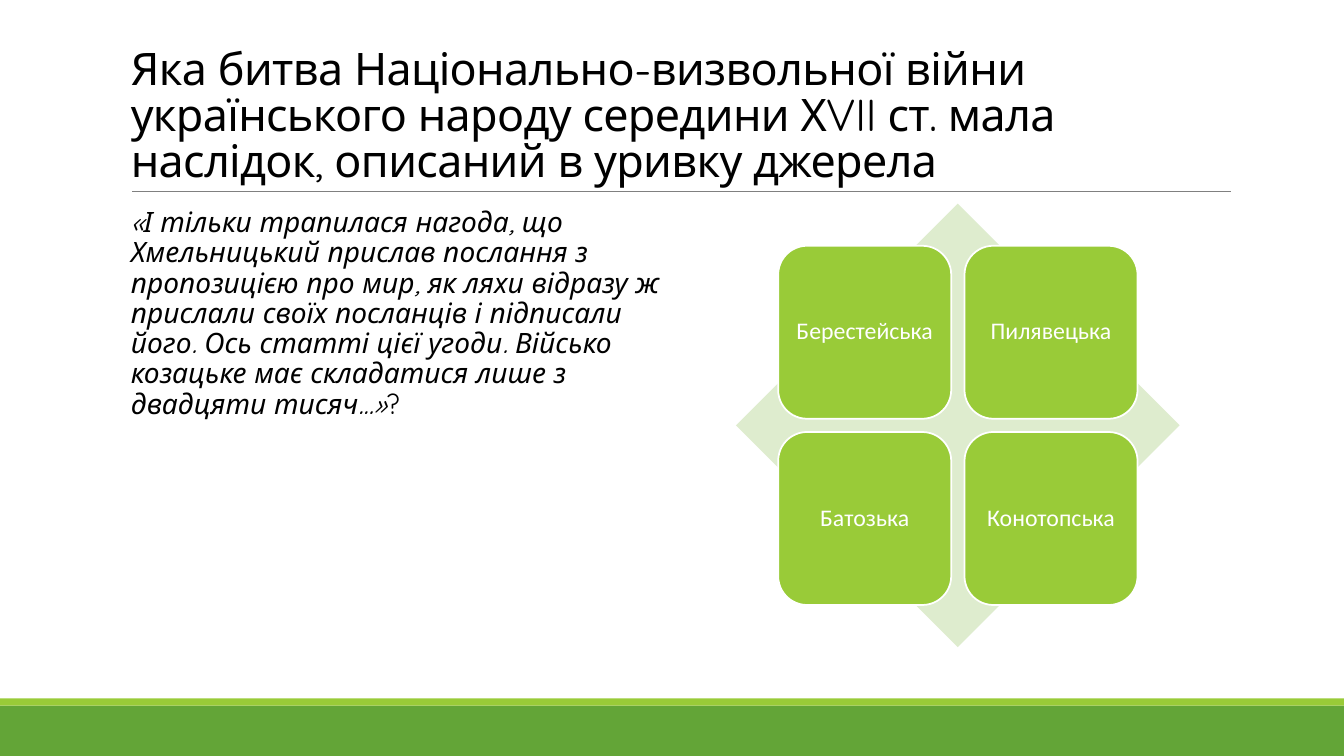
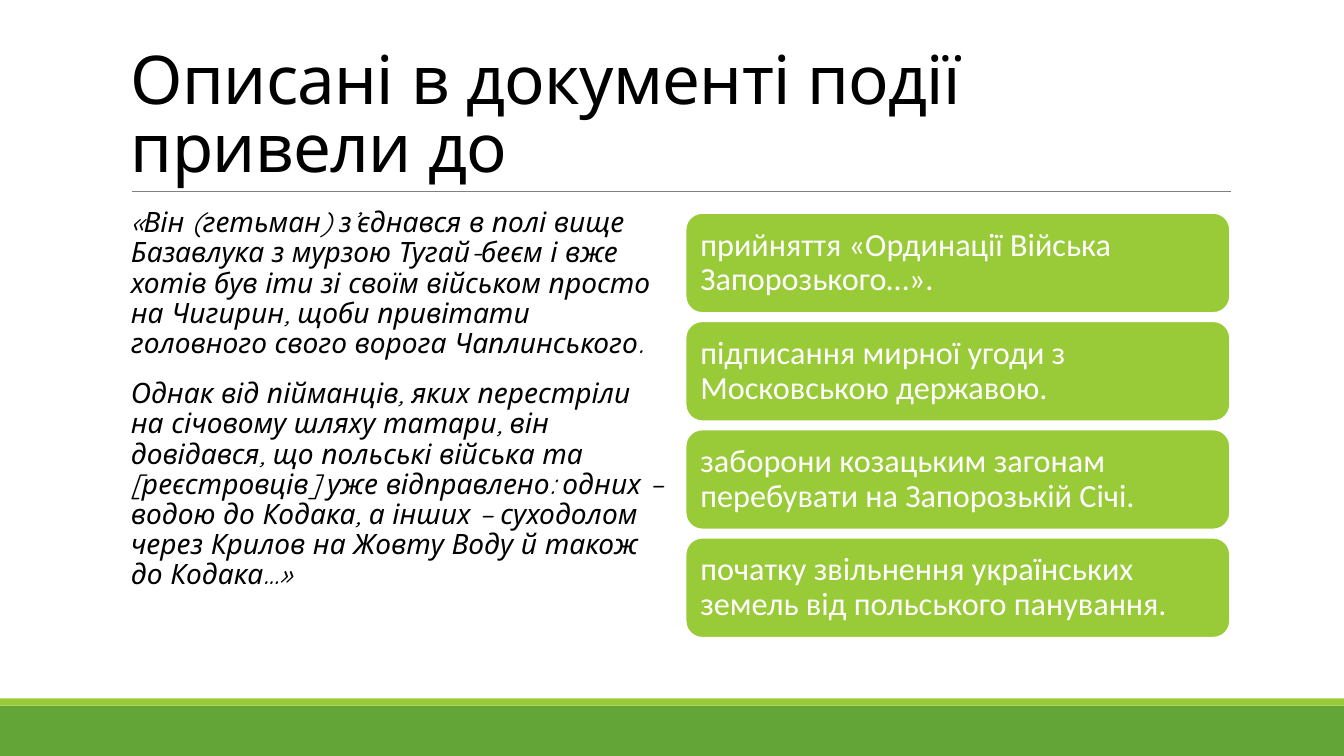
from dataclasses import dataclass

from lxml import etree
from pptx import Presentation
from pptx import util as u
from pptx.dml.color import RGBColor
from pptx.enum import shapes, text
from pptx.oxml.ns import qn

CELL = 0.2  # inches in one grid column or row
COLS, ROWS = 66.65, 37.5
LEFT, RIGHT, COL_W = 6, 34, 27
BODY_TOP, BODY_H = 10.1, 22


@dataclass(frozen=True)
class Theme:
    ink: str = "000000"
    white: str = "FFFFFF"
    green: str = "63A537"
    lime: str = "99CB38"
    pale: str = "DEECCE"
    rule: str = "808080"
    serif_free: str = "Quicksand"
    label: str = "Calibri"
    title_size: int = 48
    long_title_size: int = 32
    body_size: int = 20
    tile_size: int = 17
    bar_size: int = 23


def cells(*counts):
    return [u.Inches(n * CELL) for n in counts]


def rgb(value):
    return RGBColor.from_string(value)


def write(p, content, *, font, size, color, italic=False, tracking=None):
    r = p.add_run()
    r.text = content
    r.font.name, r.font.size = font, u.Pt(size)
    r.font.color.rgb = rgb(color)
    r.font.italic = italic
    if tracking is not None:
        r._r.get_or_add_rPr().set("spc", str(int(tracking * 100)))


def frame(sp, anchor, side, top):
    """Set wrapping, anchor and insets (inches) of a shape's text."""
    tf = sp.text_frame
    tf.word_wrap = True
    tf.vertical_anchor = anchor
    tf.margin_left = tf.margin_right = u.Inches(side)
    tf.margin_top = tf.margin_bottom = u.Inches(top)
    return tf


class Deck:
    def __init__(self, theme):
        self.theme = theme
        self.prs = Presentation()
        self.prs.slide_width, self.prs.slide_height = cells(COLS, ROWS)
        self.slide = None

    def new_slide(self, title, size):
        self.slide = self.prs.slides.add_slide(self.prs.slide_layouts[6])
        t = self.theme
        self.shape(shapes.MSO_SHAPE.RECTANGLE, (0, 35, COLS, 2.5), t.green)
        self.shape(shapes.MSO_SHAPE.RECTANGLE, (0, 34.65, COLS, 0.35), t.lime)
        self.rule(6.55, 61.05, 9.5)
        self.title(title, size)

    def shape(self, kind, box, fill, line=None):
        sp = self.slide.shapes.add_shape(kind, *cells(*box))
        sp.shadow.inherit = False
        sp.fill.solid()
        sp.fill.fore_color.rgb = rgb(fill)
        if line:
            sp.line.color.rgb = rgb(line)
            sp.line.width = u.Pt(1.25)
        else:
            sp.line.fill.background()
        return sp

    def rule(self, start, end, row):
        line = self.slide.shapes.add_connector(
            shapes.MSO_CONNECTOR.STRAIGHT, *cells(start, row, end, row))
        line.line.color.rgb = rgb(self.theme.rule)
        line.line.width = u.Pt(0.5)
        etree.SubElement(line._element.spPr, qn("a:effectLst"))

    def title(self, content, size):
        sp = self.slide.shapes.add_textbox(*cells(LEFT, 1.55, 55, 7.95))
        p = frame(sp, text.MSO_ANCHOR.BOTTOM, 0.1, 0.05).paragraphs[0]
        p.line_spacing = 0.85
        write(p, content, font=self.theme.serif_free, size=size,
              color=self.theme.ink, tracking=-0.5)

    def quote(self, *paragraphs, ending=""):
        """Fill the left column with italic text and an upright ending."""
        sp = self.slide.shapes.add_textbox(*cells(LEFT, BODY_TOP, COL_W, BODY_H))
        tf = frame(sp, text.MSO_ANCHOR.TOP, 0.1, 0.05)
        tf.margin_right = 0
        style = dict(font=self.theme.serif_free, size=self.theme.body_size,
                     color=self.theme.ink)
        for i, content in enumerate(paragraphs):
            p = tf.add_paragraph() if i else tf.paragraphs[0]
            p.line_spacing = 0.9
            p.space_before = u.Pt(12 if i else 0)
            p.space_after = u.Pt(2)
            write(p, content, italic=True, **style)
        if ending:
            write(p, ending, **style)

    def card(self, box, content, size, align, inset):
        t = self.theme
        sp = self.shape(shapes.MSO_SHAPE.ROUNDED_RECTANGLE, box, t.lime, t.white)
        p = frame(sp, text.MSO_ANCHOR.MIDDLE, inset, inset).paragraphs[0]
        p.alignment = align
        p.line_spacing = 0.9
        write(p, content, font=t.label, size=size, color=t.white)

    def matrix(self, labels):
        """Two by two cards over a diamond, centred in the right column."""
        side = BODY_H
        left = RIGHT + (COL_W - side) / 2
        self.shape(shapes.MSO_SHAPE.DIAMOND, (left, BODY_TOP, side, side),
                   self.theme.pale)
        edge, tile = side * 0.095, side * 0.39
        pitch = side - 2 * edge - tile
        for i, label in enumerate(labels):
            row, col = divmod(i, 2)
            box = (left + edge + col * pitch, BODY_TOP + edge + row * pitch,
                   tile, tile)
            self.card(box, label, self.theme.tile_size,
                      text.PP_ALIGN.CENTER, 0.07)

    def bars(self, labels, height=4.96, gap=0.41):
        """Stack of cards, centred vertically in the right column."""
        pitch = height + gap
        top = BODY_TOP + (BODY_H - pitch * len(labels) + gap) / 2
        for i, label in enumerate(labels):
            self.card((RIGHT, top + i * pitch, COL_W, height), label,
                      self.theme.bar_size, text.PP_ALIGN.LEFT, 0.1)


def main():
    theme = Theme()
    deck = Deck(theme)

    deck.new_slide(
        "Яка битва Національно-визвольної війни українського народу "
        "середини ХVII ст. мала наслідок, описаний в уривку джерела",
        theme.long_title_size)
    deck.quote(
        "«І тільки трапилася нагода, що Хмельницький прислав послання з "
        "пропозицією про мир, як ляхи відразу ж прислали своїх посланців і "
        "підписали його. Ось статті цієї угоди. Військо козацьке має "
        "складатися лише з двадцяти тисяч...»", ending="?")
    deck.matrix(["Берестейська", "Пилявецька", "Батозька", "Конотопська"])

    deck.new_slide("Описані в документі події привели до", theme.title_size)
    deck.quote(
        "«Він (гетьман) з’єднався в полі вище Базавлука з мурзою Тугай-беєм "
        "і вже хотів був іти зі своїм військом просто на Чигирин, щоби "
        "привітати головного свого ворога Чаплинського.",
        "Однак від пійманців, яких перестріли на січовому шляху татари, він "
        "довідався, що польські війська та [реєстровців] уже відправлено: "
        "одних – водою до Кодака, а інших – суходолом через Крилов на Жовту "
        "Воду й також до Кодака…»")
    deck.bars([
        "прийняття «Ординації Війська Запорозького…».",
        "підписання мирної угоди з Московською державою.",
        "заборони козацьким загонам перебувати на Запорозькій Січі.",
        "початку звільнення українських земель від польського панування.",
    ])

    deck.prs.save("out.pptx")


if __name__ == "__main__":
    main()
